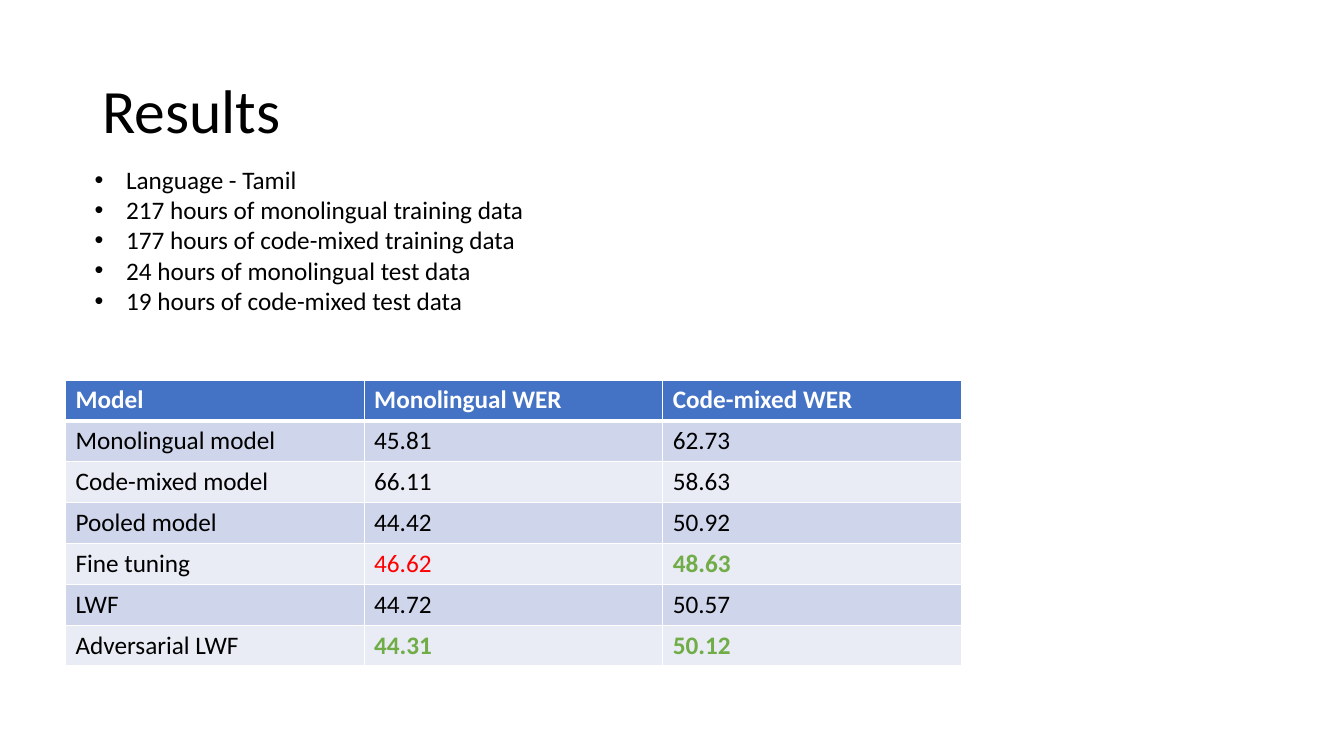
from lxml.etree import SubElement
from pptx import Presentation
from pptx.dml.color import RGBColor
from pptx.enum.text import MSO_ANCHOR, MSO_AUTO_SIZE, PP_ALIGN
from pptx.oxml.ns import qn
from pptx.util import Pt

BLACK, WHITE, RED, GREEN = "000000", "FFFFFF", "FF0000", "70AD47"
HEADER_BLUE, BANDS = "4472C4", ("CFD5EA", "E9EBF5")

FACTS = [
    "Language - Tamil",
    "217 hours of monolingual training data",
    "177 hours of code-mixed training data",
    "24 hours of monolingual test data",
    "19 hours of code-mixed test data",
]
RESULTS = [
    ("Model", "Monolingual WER", "Code-mixed WER"),
    ("Monolingual model", "45.81", "62.73"),
    ("Code-mixed model", "66.11", "58.63"),
    ("Pooled model", "44.42", "50.92"),
    ("Fine tuning", "46.62", "48.63"),
    ("LWF", "44.72", "50.57"),
    ("Adversarial LWF", "44.31", "50.12"),
]
HIGHLIGHTS = {
    "46.62": {"color": RED},
    "48.63": {"color": GREEN, "bold": True},
    "44.31": {"color": GREEN, "bold": True},
    "50.12": {"color": GREEN, "bold": True},
}


def color(value):
    return RGBColor.from_string(value)


def apply(target, values):
    for name, value in values.items():
        setattr(target, name, value)


class SlideBuilder:
    font = "Calibri"
    body_size = 18

    def __init__(self, page):
        self.page = page

    def add_span(self, para, text, size=body_size, color_hex=BLACK, bold=False):
        span = para.add_run()
        span.text = text
        apply(span.font, {"name": self.font, "size": Pt(size), "bold": bold})
        span.font.color.rgb = color(color_hex)

    def title(self, text, left, top, width, height, size):
        box = self.page.shapes.title
        apply(box, {"left": Pt(left), "top": Pt(top),
                    "width": Pt(width), "height": Pt(height)})
        apply(box.text_frame, {"vertical_anchor": MSO_ANCHOR.MIDDLE,
                               "auto_size": MSO_AUTO_SIZE.NONE,
                               "word_wrap": True})
        para = box.text_frame.paragraphs[0]
        apply(para, {"alignment": PP_ALIGN.LEFT, "line_spacing": 0.9})
        self.add_span(para, text, size)

    def bullets(self, lines, left, top, width, height, indent):
        box = self.page.shapes.add_textbox(Pt(left), Pt(top), Pt(width), Pt(height))
        frame = box.text_frame
        apply(frame, {"word_wrap": False,
                      "auto_size": MSO_AUTO_SIZE.SHAPE_TO_FIT_TEXT})
        for index, line in enumerate(lines):
            para = frame.add_paragraph() if index else frame.paragraphs[0]
            para.alignment = PP_ALIGN.LEFT
            properties = para._p.get_or_add_pPr()
            properties.set("marL", str(Pt(indent)))
            properties.set("indent", str(-Pt(indent)))
            SubElement(properties, qn("a:buFont"), typeface="Arial")
            SubElement(properties, qn("a:buChar"), char="•")
            self.add_span(para, line)

    def borders(self, cell, widths):
        properties = cell._tc.get_or_add_tcPr()
        for side, width in widths.items():
            line = SubElement(properties, qn(f"a:ln{side}"), w=str(Pt(width)))
            fill = SubElement(line, qn("a:solidFill"))
            SubElement(fill, qn("a:srgbClr"), val=WHITE)

    def table(self, rows, left, top, width, height, highlights):
        grid = self.page.shapes.add_table(
            len(rows), len(rows[0]), Pt(left), Pt(top), Pt(width), Pt(height)).table
        for row_index, row in enumerate(rows):
            grid.rows[row_index].height = Pt(height / len(rows))
            header = row_index == 0
            fill = HEADER_BLUE if header else BANDS[(row_index - 1) % 2]
            for column_index, text in enumerate(row):
                cell = grid.cell(row_index, column_index)
                self.borders(cell, {"L": 1, "R": 1,
                                    "T": 3 if row_index == 1 else 1,
                                    "B": 3 if header else 1})
                cell.fill.solid()
                cell.fill.fore_color.rgb = color(fill)
                style = highlights.get(text, {})
                self.add_span(cell.text_frame.paragraphs[0], text,
                              color_hex=WHITE if header else style.get("color", BLACK),
                              bold=header or style.get("bold", False))


def main():
    deck = Presentation()
    apply(deck, {"slide_width": Pt(960), "slide_height": Pt(540)})
    builder = SlideBuilder(deck.slides.add_slide(deck.slide_layouts[5]))
    builder.title("Results", 66, 28.75, 828, 104.4, 44)
    builder.table(RESULTS, 46.8, 271.4, 640, 204.4, HIGHLIGHTS)
    builder.bullets(FACTS, 60.5, 113.8, 324.7, 116.6, 22.5)
    deck.save("out.pptx")


if __name__ == "__main__":
    main()
